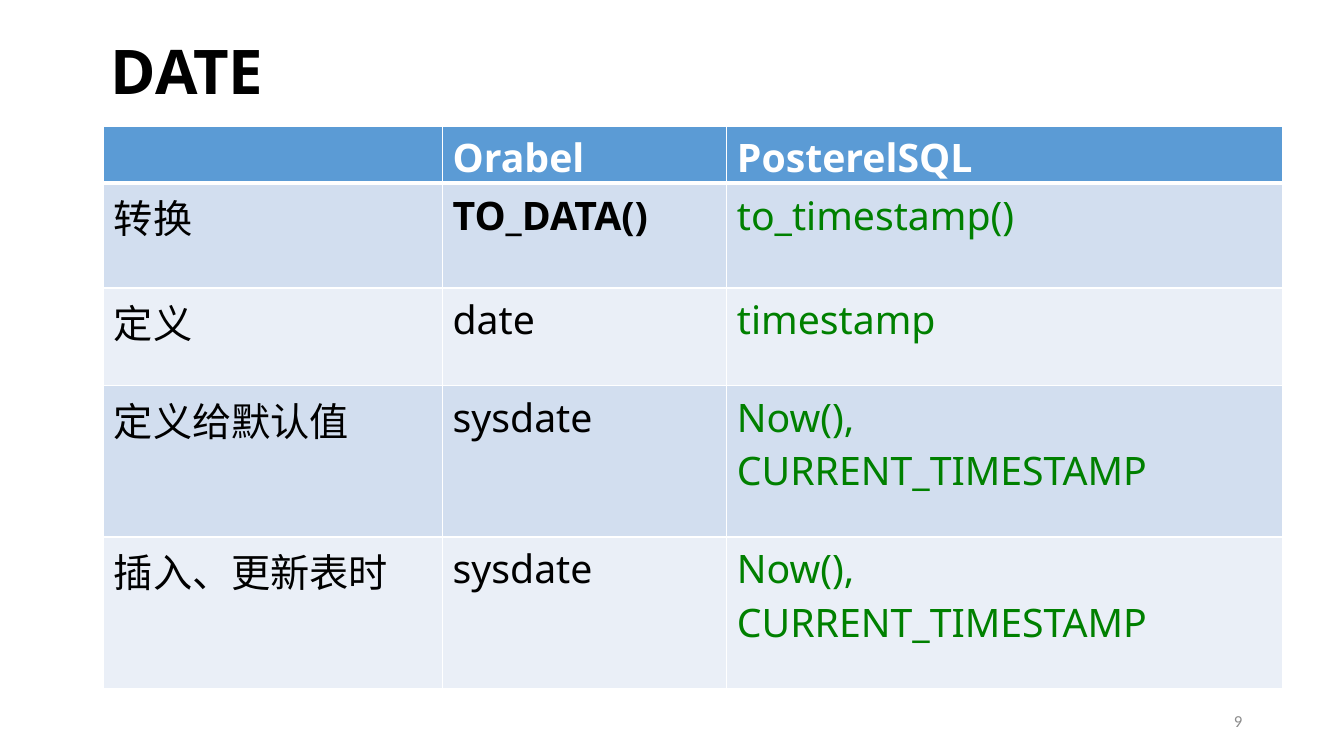
"""Build a slide comparing date handling in two databases."""
from dataclasses import dataclass

from lxml import etree
from pptx import Presentation, util as u
from pptx.dml.color import RGBColor
from pptx.enum import text
from pptx.oxml.ns import qn


@dataclass(frozen=True)
class Theme:
    """Colours, fonts and type sizes."""
    ink: str = "000000"
    white: str = "FFFFFF"
    green: str = "008000"
    grey: str = "8C8C8C"
    header: str = "5B9BD5"
    bands: tuple = ("D2DEEF", "EAEFF7")
    latin: str = "Noto Sans"
    cjk: str = "Noto Sans CJK SC"
    number: str = "Calibri"
    title_pt: int = 44
    table_pt: int = 28
    number_pt: int = 12


T = Theme()
ROWS = (
    ("", "Orabel", "PosterelSQL"),
    ("转换", "TO_DATA()", "to_timestamp()"),
    ("定义", "date", "timestamp"),
    ("定义给默认值", "sysdate", "Now(), CURRENT_TIMESTAMP"),
    ("插入、更新表时", "sysdate", "Now(), CURRENT_TIMESTAMP"),
)
COLUMN_WIDTHS = (3.36, 2.82, 5.51)
ROW_HEIGHTS = (0.56, 1.04, 0.97, 1.5, 1.5)


def write(tf, words, size, color, bold=False, font=T.latin):
    """Put words in the first paragraph of a text frame and style it."""
    p = tf.paragraphs[0]
    p.text = words
    p.font.size, p.font.bold, p.font.name = u.Pt(size), bold, font
    p.font.color.rgb = RGBColor.from_string(color)
    for r in p.runs:
        rPr = r.font._element if hasattr(r.font, "_element") else r._r.get_or_add_rPr()
        etree.SubElement(rPr, qn("a:latin"), typeface=font)
        etree.SubElement(rPr, qn("a:ea"), typeface=T.cjk)
    return p


def border(cell, side, width):
    """Draw one white edge of a cell."""
    ln = etree.Element(qn(f"a:ln{side}"), w=str(u.Pt(width)))
    fill = etree.SubElement(ln, qn("a:solidFill"))
    etree.SubElement(fill, qn("a:srgbClr"), val=T.white)
    cell._tc.get_or_add_tcPr().append(ln)


def add_label(s, box, words, size, color, align, **style):
    """Add a single-line text box filling the given box."""
    tf = s.shapes.add_textbox(*box).text_frame
    tf.word_wrap = True
    tf.margin_top = tf.margin_bottom = 0
    tf.vertical_anchor = text.MSO_ANCHOR.MIDDLE
    p = write(tf, words, size, color, **style)
    p.alignment = align
    return p


def add_comparison(s, box):
    """Add the banded comparison table, scaled to the given box."""
    x, y, w, h = box
    table = s.shapes.add_table(len(ROWS), len(COLUMN_WIDTHS), x, y, w, h).table
    for column, share in zip(table.columns, COLUMN_WIDTHS):
        column.width = int(w * share / sum(COLUMN_WIDTHS))
    for row, share in zip(table.rows, ROW_HEIGHTS):
        row.height = int(h * share / sum(ROW_HEIGHTS))
    for i, row in enumerate(ROWS):
        for j, words in enumerate(row):
            cell = table.cell(i, j)
            for side in "LRTB":
                thick = (i == 0 and side == "B") or (i == 1 and side == "T")
                border(cell, side, 3 if thick else 1)
            cell.fill.solid()
            shade = T.bands[(i - 1) % 2] if i else T.header
            cell.fill.fore_color.rgb = RGBColor.from_string(shade)
            if j == 2:
                cell.margin_right = u.Inches(0.2)
            color = T.white if i == 0 else T.green if j == 2 else T.ink
            write(cell.text_frame, words, T.table_pt, color,
                  bold=i == 0 or (i, j) == (1, 1))


def build_slide(prs):
    """Place the title, table and page number on a blank slide."""
    s = prs.slides.add_slide(prs.slide_layouts[6])

    def box(*inches):
        return [u.Inches(n) for n in inches]

    title = add_label(s, box(1, 0.36, 11.5, 0.75), "DATE", T.title_pt,
                      T.ink, text.PP_ALIGN.LEFT, bold=True)
    title.line_spacing = 0.9
    add_comparison(s, box(1.03, 1.25, 11.69, 5.57))
    add_label(s, box(9.42, 6.95, 3, 0.4), "9", T.number_pt,
              T.grey, text.PP_ALIGN.RIGHT, font=T.number)


prs = Presentation()
prs.slide_width, prs.slide_height = u.Inches(13.33), u.Inches(7.5)
build_slide(prs)
prs.save("out.pptx")
